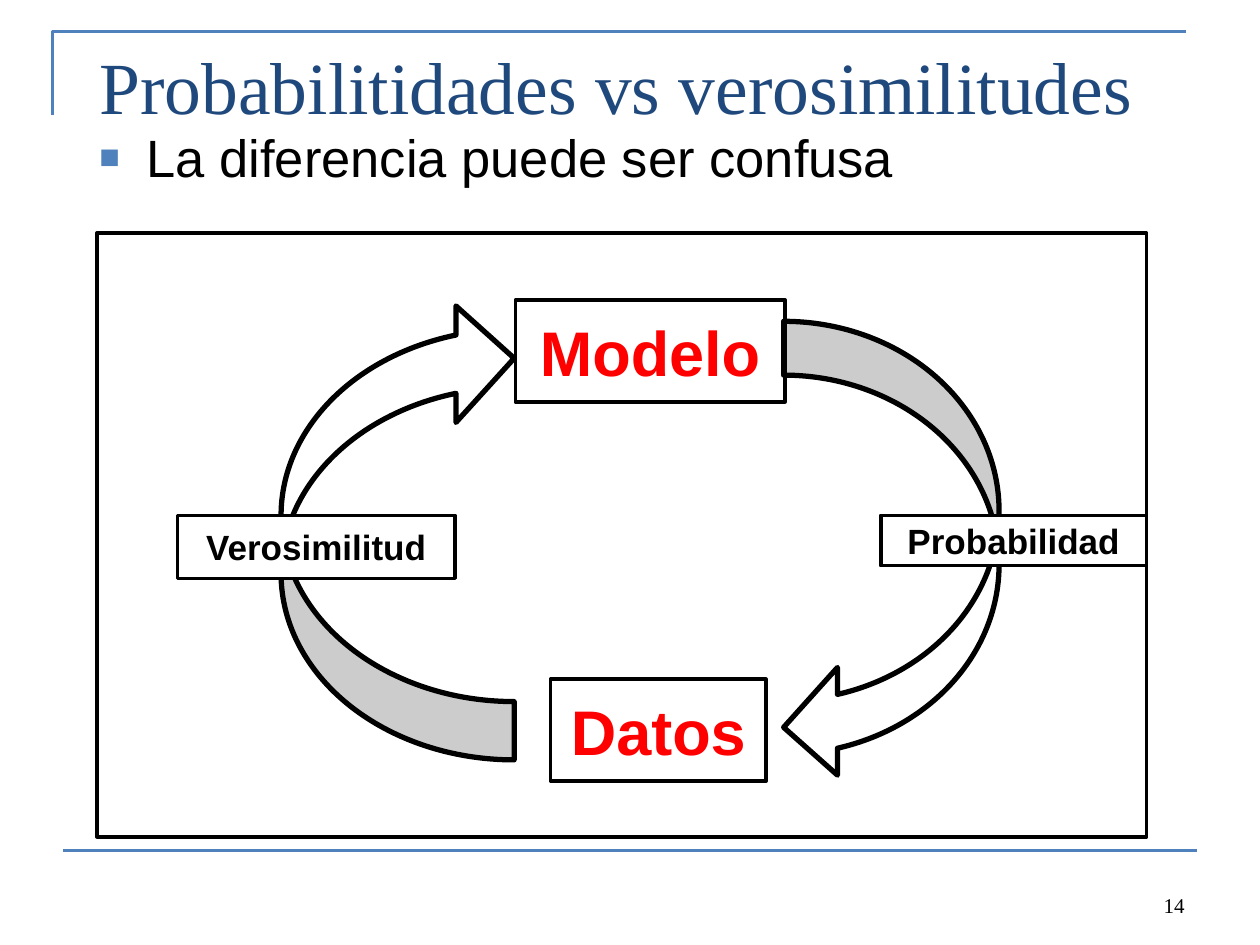
from lxml import etree
from pptx import Presentation
from pptx.dml.color import RGBColor
from pptx.enum.shapes import MSO_CONNECTOR, MSO_SHAPE
from pptx.enum.text import MSO_ANCHOR, PP_ALIGN
from pptx.oxml.ns import qn
from pptx.util import Pt

LEFT, RIGHT, CENTER = PP_ALIGN.LEFT, PP_ALIGN.RIGHT, PP_ALIGN.CENTER
TOP, MIDDLE, BOTTOM = MSO_ANCHOR.TOP, MSO_ANCHOR.MIDDLE, MSO_ANCHOR.BOTTOM
RECT, ARROW = MSO_SHAPE.RECTANGLE, MSO_SHAPE.CURVED_LEFT_ARROW
BLUE, NAVY, RED, BLACK, WHITE = "4F81BD", "1F497D", "FF0000", "000000", "FFFFFF"


def color(value):
    return RGBColor.from_string(value)


def write(sp, text, size, font, text_color, align, anchor, bold=False):
    tf = sp.text_frame
    tf.word_wrap = True
    tf.vertical_anchor = anchor
    p = tf.paragraphs[0]
    p.alignment = align
    r = p.add_run()
    r.text = text
    r.font.size, r.font.name, r.font.bold = Pt(size), font, bold
    r.font.color.rgb = color(text_color)
    return tf


prs = Presentation()
prs.slide_width, prs.slide_height = Pt(720), Pt(540)
s = prs.slides.add_slide(prs.slide_layouts[5])

# Corner rule at top left and rule at the bottom
builder = s.shapes.build_freeform(Pt(30), Pt(66))
builder.add_line_segments([(Pt(30), Pt(18)), (Pt(678), Pt(18))], close=False)
corner = builder.convert_to_shape()
corner.fill.background()
corner.shadow.inherit = False
rule = s.shapes.add_connector(MSO_CONNECTOR.STRAIGHT, Pt(36), Pt(486), Pt(684), Pt(486))
etree.SubElement(rule._element.spPr, qn("a:effectLst"))
for sp in (corner, rule):
    sp.line.color.rgb = color(BLUE)
    sp.line.width = Pt(1.5)

# Title
title = s.shapes.title
title.left, title.top, title.width, title.height = Pt(49.7), Pt(15.1), Pt(620.6), Pt(104.4)
tf = write(title, "Probabilitidades vs verosimilitudes", 42, "Times New Roman", NAVY, LEFT, TOP)
tf.margin_top = Pt(8.5)

# Bulleted statement
body = s.shapes.add_textbox(Pt(49.7), Pt(65.5), Pt(620.6), Pt(89.3))
tf = write(body, "La diferencia puede ser confusa", 30, "Arial", BLACK, LEFT, TOP)
tf.margin_top = Pt(6)
pPr = tf.paragraphs[0]._p.get_or_add_pPr()
pPr.set("marL", str(Pt(27)))
pPr.set("indent", str(-Pt(27)))
bullet_color = etree.SubElement(pPr, qn("a:buClr"))
etree.SubElement(bullet_color, qn("a:srgbClr"), val=BLUE)
etree.SubElement(pPr, qn("a:buSzPct"), val="65000")
etree.SubElement(pPr, qn("a:buFont"), typeface="Arial")
etree.SubElement(pPr, qn("a:buChar"), char="■")

# Cycle diagram: kind, left, top, width, height, rotation, fill, line width, label
cycle = s.shapes.add_group_shape()
parts = [
    (ARROW, 447.8, 183.6, 123.1, 262.8, 0, WHITE, 3, None),
    (ARROW, 160.6, 171.4, 133.2, 262.8, 180, WHITE, 3, None),
    (RECT, 294.5, 171.4, 154.1, 58.3, 0, None, 2, ("Modelo", 36, RED)),
    (RECT, 314.6, 388.1, 123.1, 58.3, 0, None, 2, ("Datos", 36, RED)),
    (RECT, 101.5, 294.5, 158.4, 36, 0, WHITE, 2, ("Verosimilitud", 20, BLACK)),
    (RECT, 503.3, 294.5, 151.9, 28.8, 0, WHITE, 2, ("Probabilidad", 20, BLACK)),
    (RECT, 55.4, 133.2, 599.8, 344.9, 0, None, 2.25, None),
]
for kind, left, top, width, height, rotation, fill, line_width, label in parts:
    sp = cycle.shapes.add_shape(kind, Pt(left), Pt(top), Pt(width), Pt(height))
    sp.rotation = rotation
    sp.shadow.inherit = False
    sp.line.color.rgb = color(BLACK)
    sp.line.width = Pt(line_width)
    if fill:
        sp.fill.solid()
        sp.fill.fore_color.rgb = color(fill)
    else:
        sp.fill.background()
    if label:
        text, size, text_color = label
        write(sp, text, size, "Arial", text_color, CENTER, MIDDLE, bold=True)

# Page number
number = s.shapes.add_textbox(Pt(516.2), Pt(491.8), Pt(167.8), Pt(36))
write(number, "14", 12, "Times New Roman", BLACK, RIGHT, BOTTOM)

prs.save("out.pptx")
